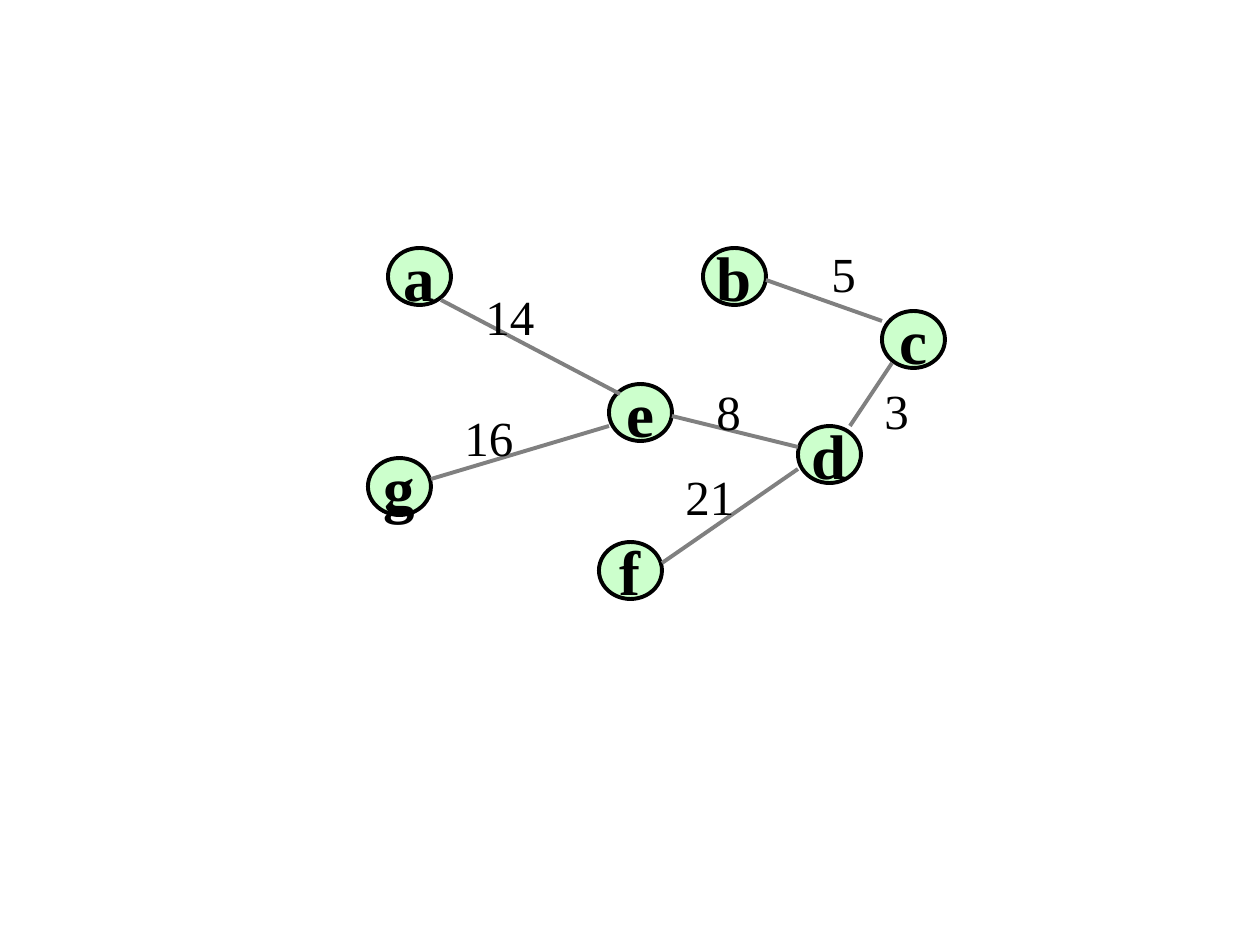
from lxml import etree
from pptx import Presentation
from pptx.dml.color import RGBColor
from pptx.enum.shapes import MSO_CONNECTOR, MSO_SHAPE
from pptx.enum.text import MSO_ANCHOR, MSO_AUTO_SIZE, PP_ALIGN
from pptx.oxml.ns import qn
from pptx.util import Pt

OVAL = MSO_SHAPE.OVAL
LINE = MSO_CONNECTOR.STRAIGHT
TOP, MIDDLE = MSO_ANCHOR.TOP, MSO_ANCHOR.MIDDLE
LEFT, CENTER = PP_ALIGN.LEFT, PP_ALIGN.CENTER
GROW = MSO_AUTO_SIZE.SHAPE_TO_FIT_TEXT

BLACK = RGBColor(0x00, 0x00, 0x00)
GREEN = RGBColor(0xCC, 0xFF, 0xCC)
GRAY = RGBColor(0x80, 0x80, 0x80)

SCALE = 914400 / 126  # EMU per px


def px(*values):
    return [round(v * SCALE) for v in values]


def put_text(shape, text, size=28, bold=False, align=LEFT, anchor=TOP):
    frame = shape.text_frame
    frame.word_wrap = False
    frame.vertical_anchor = anchor
    para = frame.paragraphs[0]
    para.alignment = align
    run = para.add_run()
    run.text = text
    font = run.font
    font.name = "Times New Roman"
    font.size = Pt(size)
    font.bold = bold
    font.color.rgb = BLACK


class Graph:
    node_w, node_h = 63, 57
    label_h = 72
    stroke = Pt(2.25)

    def __init__(self, slide):
        self.shapes = slide.shapes

    def node(self, name, x, y):
        oval = self.shapes.add_shape(OVAL, *px(x, y, self.node_w, self.node_h))
        oval.shadow.inherit = False
        oval.fill.solid()
        oval.fill.fore_color.rgb = GREEN
        oval.line.color.rgb = BLACK
        oval.line.width = self.stroke
        put_text(oval, name, size=36, bold=True, align=CENTER, anchor=MIDDLE)

    def edge(self, *ends):
        line = self.shapes.add_connector(LINE, *px(*ends))
        line.line.color.rgb = GRAY
        line.line.width = self.stroke
        etree.SubElement(line._element.spPr, qn("a:effectLst"))

    def label(self, text, x, y):
        width = 24 + 25 * len(text)
        box = self.shapes.add_textbox(*px(x, y, width, self.label_h))
        put_text(box, text)
        box.text_frame.auto_size = GROW


NODES = [
    ("a", 388, 248), ("b", 703, 248), ("c", 882, 311), ("d", 798, 426),
    ("e", 609, 384), ("g", 368, 458), ("f", 599, 542),
]
EDGES = [
    (441, 300, 620, 394),  # a to e
    (431, 479, 609, 426),  # g to e
    (672, 416, 798, 447),  # e to d
    (766, 280, 882, 321),  # b to c
    (892, 363, 850, 426),  # c to d
    (798, 469, 662, 563),  # d to f
]
LABELS = [
    ("5", 819, 237), ("14", 473, 280), ("16", 452, 401),
    ("8", 704, 375), ("21", 673, 460), ("3", 872, 374),
]


def main():
    deck = Presentation()
    deck.slide_width, deck.slide_height = px(1260, 945)
    graph = Graph(deck.slides.add_slide(deck.slide_layouts[6]))

    # Vertices
    for node in NODES:
        graph.node(*node)

    # Tree edges
    for edge in EDGES:
        graph.edge(*edge)

    # Edge weights
    for label in LABELS:
        graph.label(*label)

    deck.save("out.pptx")


if __name__ == "__main__":
    main()
